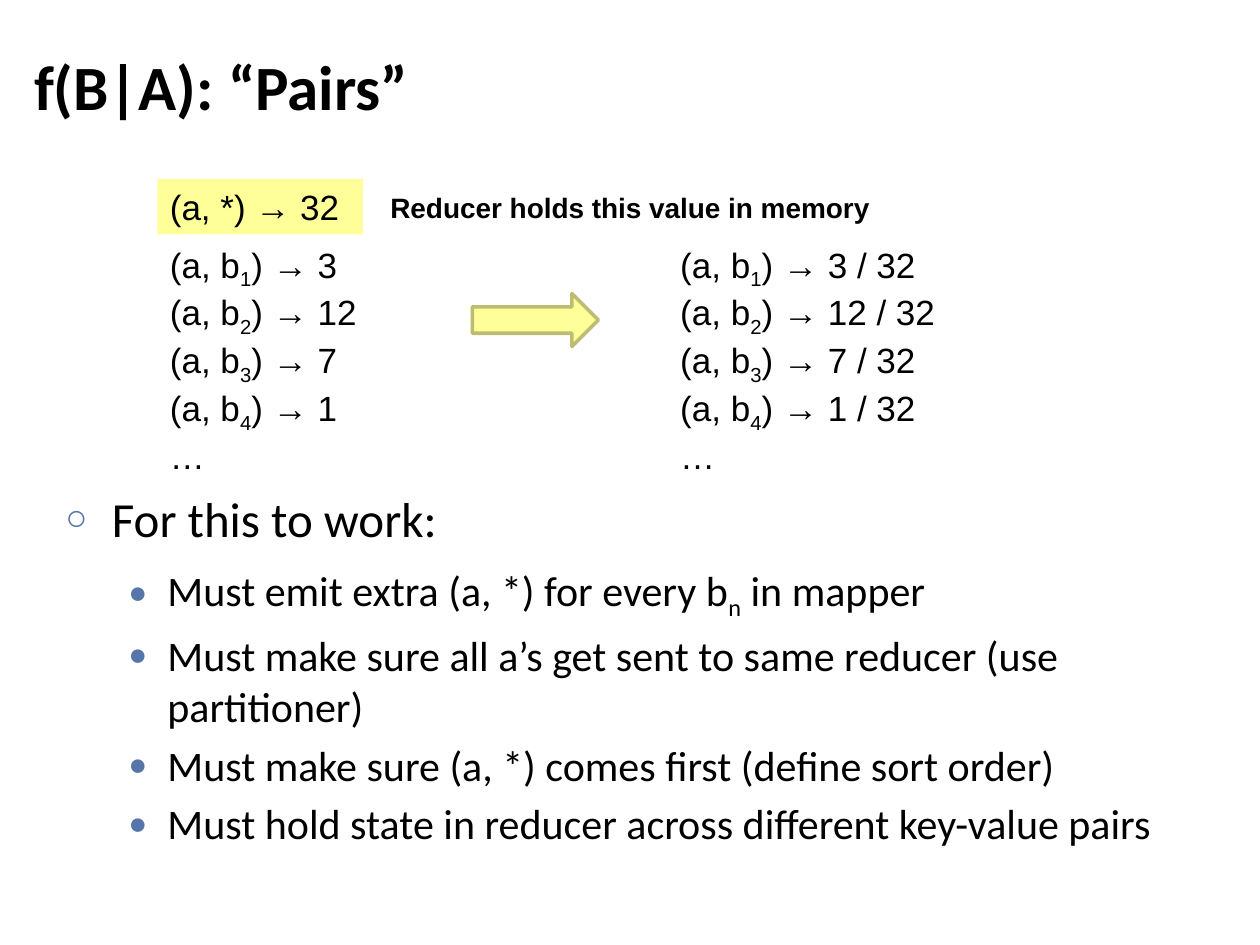
from lxml import etree
from pptx import Presentation
from pptx.dml.color import RGBColor
from pptx.enum.shapes import MSO_SHAPE
from pptx.enum.text import MSO_ANCHOR, MSO_AUTO_SIZE, PP_ALIGN
from pptx.oxml.ns import qn
from pptx.util import Inches, Pt

RECT, ARROW = MSO_SHAPE.RECTANGLE, MSO_SHAPE.RIGHT_ARROW
MIDDLE, TOP = MSO_ANCHOR.MIDDLE, MSO_ANCHOR.TOP
FIT, FIXED = MSO_AUTO_SIZE.SHAPE_TO_FIT_TEXT, MSO_AUTO_SIZE.NONE
LEFT = PP_ALIGN.LEFT

BLACK, YELLOW, OLIVE, BLUE = "000000", "FFFF99", "BDBD71", "5675A9"

TITLE = "f(B|A): “Pairs”"
TOTAL = 32
COUNTS = [3, 12, 7, 1]
NOTE = "Reducer holds this value in memory"
POINTS = [
    (0, ["For this to work:"]),
    (1, ["Must emit extra (a, *) for every b", "n", " in mapper"]),
    (1, ["Must make sure all a’s get sent to same reducer (use partitioner)"]),
    (1, ["Must make sure (a, *) comes first (define sort order)"]),
    (1, ["Must hold state in reducer across different key-value pairs"]),
]
LEVELS = [
    dict(size=28, char="○", margin=0.37, hang=0.37, gap=0.25),
    dict(size=24, char="●", margin=0.81, hang=0.31, gap=0.10),
]

PAIRS_X, SHARES_X = 1.25, 5.3
TOTAL_Y, ROWS_Y = 1.42, 1.88


def color(value):
    return RGBColor.from_string(value)


def inches(*values):
    return [Inches(v) for v in values]


def add_runs(p, parts, size, font, bold=False):
    for i, text in enumerate(parts):
        r = p.add_run()
        r.text = text
        r.font.size, r.font.name, r.font.bold = Pt(size), font, bold
        r.font.color.rgb = color(BLACK)
        if i % 2:
            r.font._element.set("baseline", "-25000")


def add_lines(sp, lines, size, bold=False):
    tf = sp.text_frame
    tf.word_wrap, tf.auto_size, tf.vertical_anchor = False, FIT, TOP
    for i, parts in enumerate(lines):
        p = tf.paragraphs[0] if i == 0 else tf.add_paragraph()
        p.alignment = LEFT
        add_runs(p, parts, size, "Arial", bold)


def add_block(s, kind, box, line=None):
    sp = s.shapes.add_shape(kind, *inches(*box))
    sp.shadow.inherit = False
    sp.fill.solid()
    sp.fill.fore_color.rgb = color(YELLOW)
    if line:
        sp.line.color.rgb = color(line)
        sp.line.width = Pt(2)
    else:
        sp.line.fill.background()
    return sp


def set_bullet(p, level):
    pPr = p._p.get_or_add_pPr()
    pPr.set("marL", str(Inches(level["margin"])))
    pPr.set("indent", str(-Inches(level["hang"])))
    clr = etree.SubElement(pPr, qn("a:buClr"))
    etree.SubElement(clr, qn("a:srgbClr"), val=BLUE)
    etree.SubElement(pPr, qn("a:buSzPct"), val="75000")
    etree.SubElement(pPr, qn("a:buFont"), typeface="Arial")
    etree.SubElement(pPr, qn("a:buChar"), char=level["char"])


def add_points(s):
    tf = s.shapes.add_textbox(*inches(0.42, 3.83, 9.25, 2.92)).text_frame
    tf.word_wrap = True
    for i, (depth, parts) in enumerate(POINTS):
        level = LEVELS[depth]
        p = tf.add_paragraph() if i else tf.paragraphs[0]
        gap = Pt(level["size"] * level["gap"])
        p.level = depth
        p.space_before = gap if i else Pt(0)
        p.space_after = gap
        set_bullet(p, level)
        add_runs(p, parts, level["size"], "Calibri")


def add_title(s):
    sp = s.shapes.title
    sp.left, sp.top, sp.width, sp.height = inches(0.17, 0.12, 9.5, 1.12)
    tf = sp.text_frame
    tf.vertical_anchor, tf.auto_size = MIDDLE, FIXED
    tf.paragraphs[0].alignment = LEFT
    add_runs(tf.paragraphs[0], [TITLE], 36, "Calibri", True)


def main():
    prs = Presentation()
    prs.slide_width, prs.slide_height = inches(10, 7.5)
    s = prs.slides.add_slide(prs.slide_layouts[5])
    add_title(s)
    add_points(s)

    for x, width, suffix in [(PAIRS_X, 1.78, ""), (SHARES_X, 2.25, f" / {TOTAL}")]:
        lines = [["(a, b", str(n), f") → {count}{suffix}"]
                 for n, count in enumerate(COUNTS, 1)]
        sp = s.shapes.add_textbox(*inches(x, ROWS_Y, width, 1.78))
        add_lines(sp, lines + [["…"]], 20)

    add_block(s, ARROW, (3.75, 2.33, 1, 0.42), OLIVE)
    total = add_block(s, RECT, (PAIRS_X, TOTAL_Y, 1.63, 0.44))
    add_lines(total, [[f"(a, *) → {TOTAL}"]], 20)
    note = s.shapes.add_textbox(*inches(3, 1.46, 4.06, 0.37))
    add_lines(note, [[NOTE]], 16, True)

    prs.save("out.pptx")


if __name__ == "__main__":
    main()
